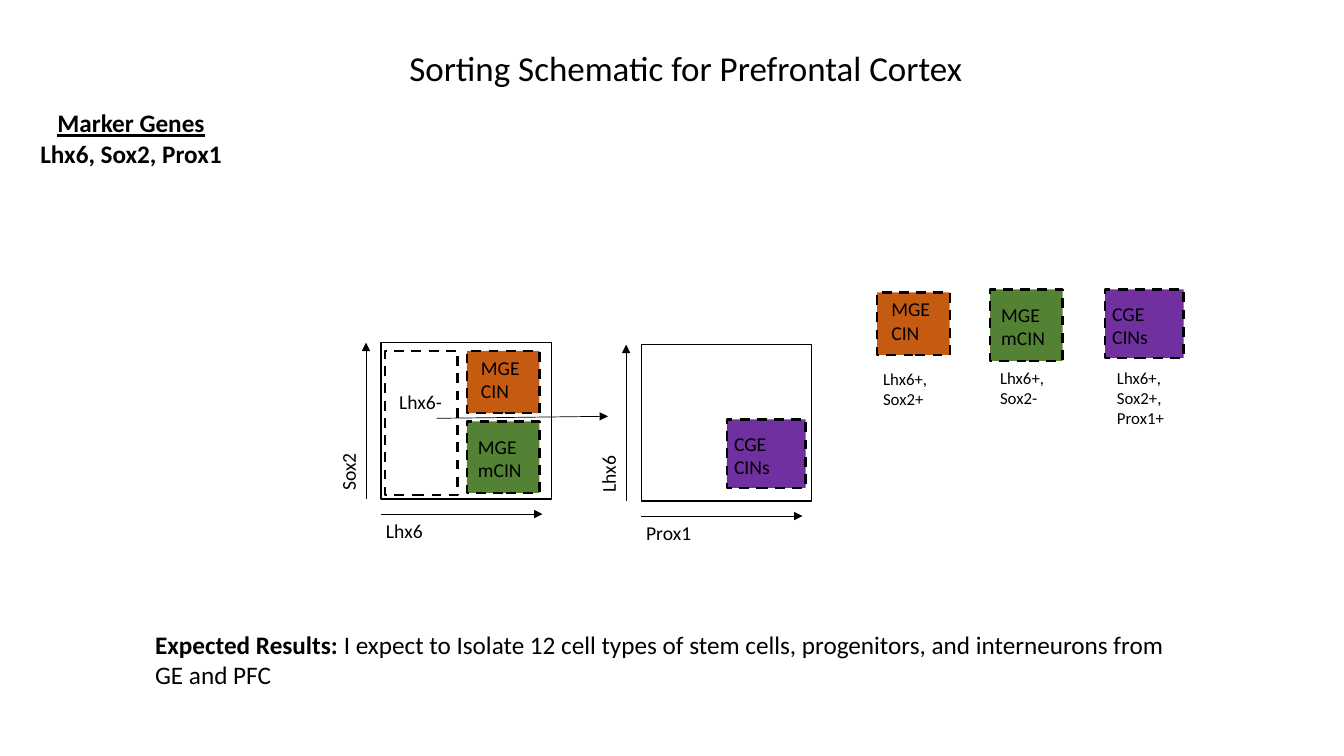
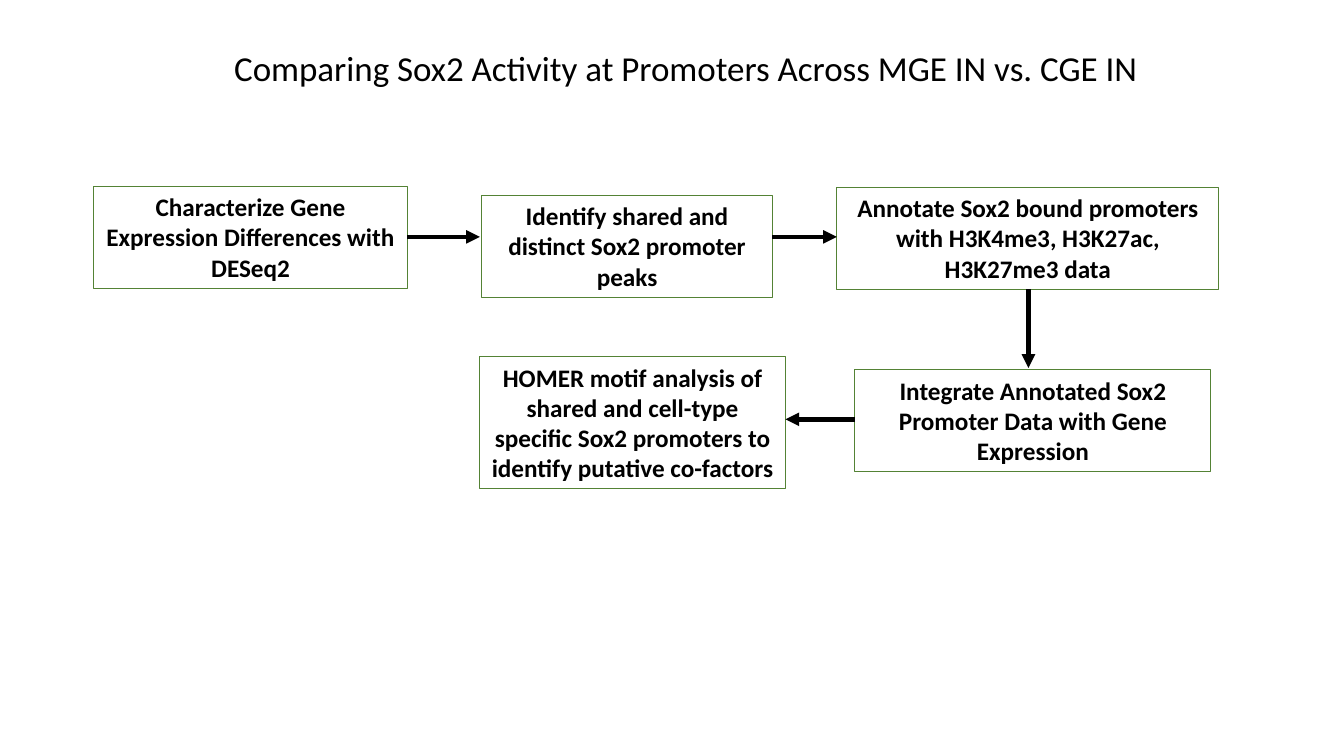
from pptx import Presentation
from pptx.dml.color import RGBColor
from pptx.enum.dml import MSO_LINE
from pptx.enum.shapes import MSO_CONNECTOR, MSO_SHAPE
from pptx.enum.text import MSO_ANCHOR, PP_ALIGN
from pptx.oxml.ns import qn
from pptx.util import Inches, Pt
from lxml import etree

BLACK = RGBColor(0x00, 0x00, 0x00)
ORANGE = RGBColor(0xC5, 0x5A, 0x11)
GREEN = RGBColor(0x54, 0x82, 0x35)
PURPLE = RGBColor(0x70, 0x30, 0xA0)
RECT = MSO_SHAPE.RECTANGLE
LINE = MSO_CONNECTOR.STRAIGHT
DASH = MSO_LINE.DASH
LEFT = PP_ALIGN.LEFT
MID = PP_ALIGN.CENTER
TOP = MSO_ANCHOR.TOP

CELLS = {
    "CIN": (ORANGE, 0.72, 0.62, ["MGE CIN"], 0.14, 0.05),
    "mCIN": (GREEN, 0.72, 0.71, ["MGE", "mCIN"], 0.11, 0.13),
    "CGE": (PURPLE, 0.78, 0.68, ["CGE CINs"], 0.07, 0.12),
}


class Deck:
    """Holds the shared style and the slide being drawn."""

    font = "Calibri"

    def __init__(self):
        self.prs = Presentation()
        self.prs.slide_width = Inches(13.33)
        self.prs.slide_height = Inches(7.5)
        self.page = None

    def slide(self, title):
        self.page = self.prs.slides.add_slide(self.prs.slide_layouts[6])
        self.text(0.61, 0.41, 12.38, 0.52, [title], 25, align=MID)

    def fill(self, frame, paras, size, bold=False, align=LEFT):
        frame.word_wrap = True
        frame.vertical_anchor = TOP
        for i, runs in enumerate(paras):
            para = frame.add_paragraph() if i else frame.paragraphs[0]
            para.alignment = align
            if isinstance(runs, str):
                runs = [(runs, {})]
            for words, style in runs:
                run = para.add_run()
                run.text = words
                font = run.font
                font.name = self.font
                font.size = Pt(size)
                font.color.rgb = BLACK
                font.bold = style.get("bold", bold)
                font.underline = style.get("under", False)

    def text(self, x, y, w, h, paras, size=14, bold=False, align=LEFT, turn=0):
        box = self.page.shapes.add_textbox(
            Inches(x), Inches(y), Inches(w), Inches(h))
        box.rotation = turn
        self.fill(box.text_frame, paras, size, bold, align)

    def rect(self, x, y, w, h, width, line=BLACK, fill=None, dash=None):
        box = self.page.shapes.add_shape(
            RECT, Inches(x), Inches(y), Inches(w), Inches(h))
        box.shadow.inherit = False
        if fill is None:
            box.fill.background()
        else:
            box.fill.solid()
            box.fill.fore_color.rgb = fill
        box.line.color.rgb = line
        box.line.width = Pt(width)
        if dash:
            box.line.dash_style = dash
        return box

    def arrow(self, x1, y1, x2, y2, width=0.5):
        link = self.page.shapes.add_connector(
            LINE, Inches(x1), Inches(y1), Inches(x2), Inches(y2))
        link.line.color.rgb = BLACK
        link.line.width = Pt(width)
        props = link.line._get_or_add_ln()
        etree.SubElement(props, qn("a:tailEnd")).set("type", "triangle")
        etree.SubElement(link._element.spPr, qn("a:effectLst"))

    def plot(self, x, y, across, up):
        w, h, gap = 1.69, 1.55, 0.15
        base = y + h + gap
        self.rect(x, y, w, h, 1)
        self.arrow(x - gap, y + h, x - gap, y)
        self.arrow(x, base, x + 1.6, base)
        self.text(x - 0.05, base, 1.05, 0.34, [across])
        self.text(x - 0.85, y + 0.87, 1.05, 0.34, [up], turn=270)

    def cell(self, kind, x, y):
        fill, w, h, paras, left, top = CELLS[kind]
        box = self.rect(x, y, w, h, 1.75, fill=fill, dash=DASH)
        frame = box.text_frame
        frame.margin_left = Inches(left)
        frame.margin_top = Inches(top)
        frame.margin_right = frame.margin_bottom = Inches(0.05)
        self.fill(frame, paras, 14)

    def step(self, x, y, w, h, words):
        box = self.rect(x, y, w, h, 0.75, line=GREEN)
        self.fill(box.text_frame, [words], 18, bold=True, align=MID)


def sorting(deck):
    deck.slide("Sorting Schematic for Prefrontal Cortex")
    deck.plot(3.78, 3.4, "Lhx6", "Sox2")
    deck.plot(6.36, 3.42, "Prox1", "Lhx6")
    deck.rect(3.82, 3.48, 0.72, 1.43, 1.75, dash=DASH)
    deck.text(3.86, 3.82, 1.02, 0.34, ["Lhx6-"])
    deck.arrow(4.33, 4.15, 6.03, 4.13)

    for kind, x, y in [
        ("CIN", 4.63, 3.48), ("mCIN", 4.63, 4.18), ("CGE", 7.21, 4.16),
        ("CIN", 8.7, 2.9), ("mCIN", 9.82, 2.87), ("CGE", 10.96, 2.87),
    ]:
        deck.cell(kind, x, y)

    for x, y, h, paras in [
        (8.66, 3.61, 0.5, ["Lhx6+, Sox2+"]),
        (9.82, 3.6, 0.5, ["Lhx6+, Sox2-"]),
        (10.98, 3.6, 0.71, ["Lhx6+, Sox2+,", "Prox1+"]),
    ]:
        deck.text(x, y, 0.81, h, paras, 12)

    deck.text(1.44, 6.19, 10.24, 0.71, [[
        ("Expected Results: ", {"bold": True}),
        ("I expect to Isolate 12 cell types of stem cells, progenitors, "
         "and interneurons from GE and PFC", {}),
    ]], 18)
    deck.text(0.2, 1.02, 2.2, 0.71, [
        [("Marker Genes", {"under": True})], "Lhx6, Sox2, Prox1",
    ], 18, bold=True, align=MID)


def compare(deck):
    deck.slide("Comparing Sox2 Activity at Promoters Across MGE IN vs. CGE IN")
    for step in [
        (0.93, 1.85, 3.11, 1.01,
         "Characterize Gene Expression Differences with DESeq2"),
        (4.78, 1.94, 2.88, 1.01,
         "Identify shared and distinct Sox2 promoter peaks"),
        (8.3, 1.86, 3.79, 1.01,
         "Annotate Sox2 bound promoters with H3K4me3, H3K27ac, H3K27me3 data"),
        (8.48, 3.67, 3.53, 1.01,
         "Integrate Annotated Sox2 Promoter Data with Gene Expression"),
        (4.76, 3.54, 3.03, 1.31,
         "HOMER motif analysis of shared and cell-type specific Sox2 "
         "promoters to identify putative co-factors"),
    ]:
        deck.step(*step)

    for ends in [
        (4.04, 2.35, 4.76, 2.35), (7.66, 2.35, 8.3, 2.35),
        (10.2, 2.87, 10.2, 3.65), (8.48, 4.16, 7.79, 4.16),
    ]:
        deck.arrow(*ends, width=3.25)


def main():
    deck = Deck()
    sorting(deck)
    compare(deck)
    deck.prs.save("out.pptx")


if __name__ == "__main__":
    main()
